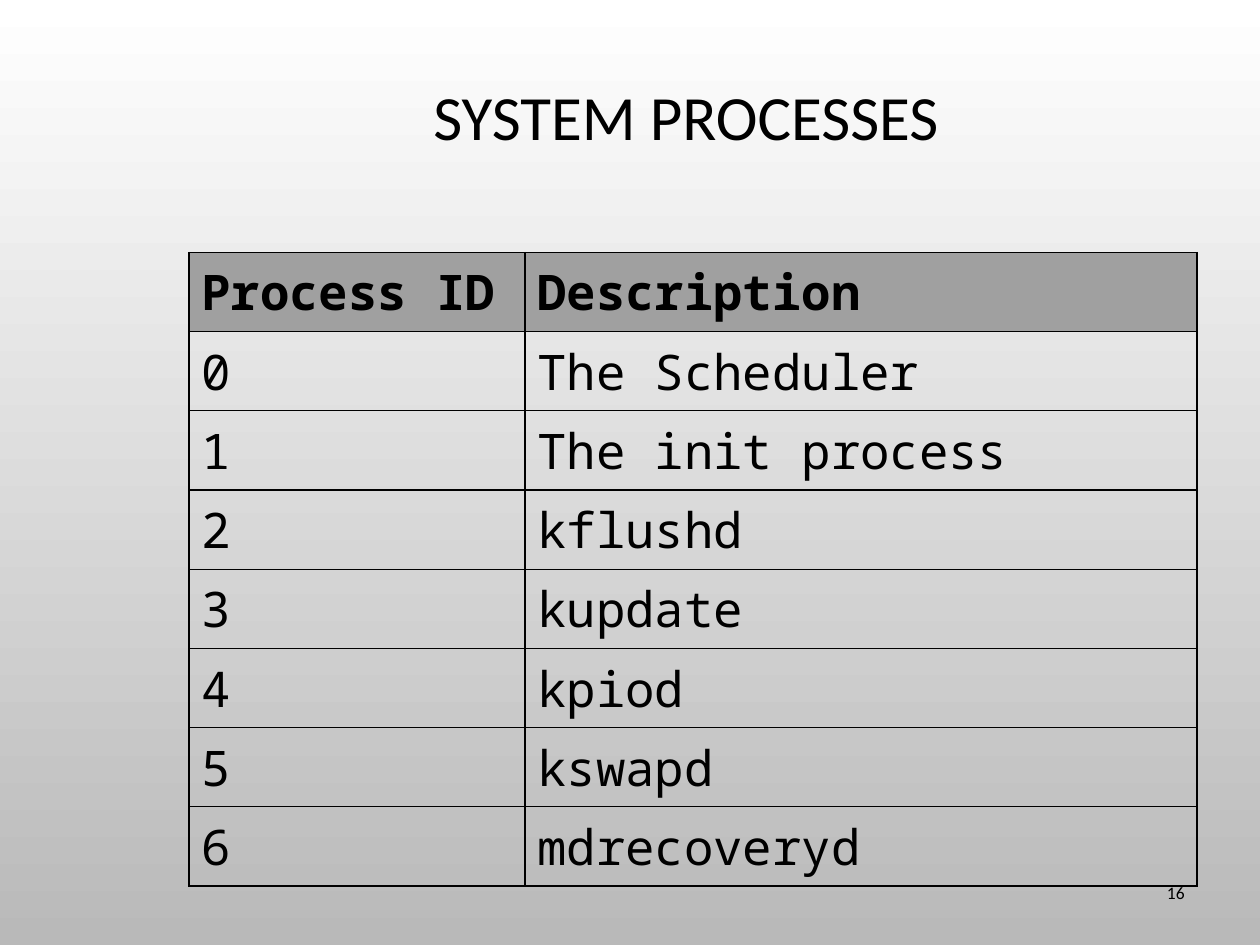
from typing import NamedTuple

from lxml.etree import SubElement
from pptx import Presentation
from pptx.dml.color import RGBColor
from pptx.enum.text import MSO_ANCHOR as Anchor, PP_ALIGN as Align
from pptx.oxml.ns import qn
from pptx.util import Inches, Pt

BLACK = RGBColor(0x00, 0x00, 0x00)
WHITE = RGBColor(0xFF, 0xFF, 0xFF)
BACKDROP_GRAY = RGBColor(0xB9, 0xB9, 0xB9)
HEADER_GRAY = RGBColor(0xA0, 0xA0, 0xA0)
BODY_FONT, MONO_FONT = "Calibri", "Noto Sans Mono"
WIDTH, HEIGHT = Inches(10), Inches(7.5)


class Area(NamedTuple):
    """A box in shares of the slide's width and height."""
    left: float
    top: float
    width: float
    height: float

    def lengths(self) -> tuple[int, ...]:
        sides = (WIDTH, HEIGHT, WIDTH, HEIGHT)
        return tuple(round(share * side) for share, side in zip(self, sides))


class Process(NamedTuple):
    pid: str
    description: str


TITLE_AREA = Area(0.15, 0.044, 0.8, 0.167)
TABLE_AREA = Area(0.15, 0.267, 0.8, 0.6)
NUMBER_AREA = Area(0.717, 0.911, 0.233, 0.067)
COLUMN_SHARES = (1 / 3, 2 / 3)
HEADINGS = Process("Process ID", "Description")
PROCESSES = [Process(str(pid), description) for pid, description in enumerate((
    "The Scheduler", "The init process", "kflushd", "kupdate",
    "kpiod", "kswapd", "mdrecoveryd"))]


def write(frame, text: str, size: int, font: str, bold: bool = False,
          align: Align = Align.LEFT) -> None:
    paragraph = frame.paragraphs[0]
    paragraph.alignment = align
    run = paragraph.add_run()
    run.text = text
    run.font.name, run.font.size, run.font.bold = font, Pt(size), bold
    run.font.color.rgb = BLACK


def outline(cell, color: RGBColor, points: float) -> None:
    properties = cell._tc.get_or_add_tcPr()
    for side in ("a:lnL", "a:lnR", "a:lnT", "a:lnB"):
        line = SubElement(properties, qn(side), w=str(Pt(points)))
        fill = SubElement(line, qn("a:solidFill"))
        SubElement(fill, qn("a:srgbClr"), val=str(color))


def add_process_table(slide, rows: list[Process]) -> None:
    table = slide.shapes.add_table(
        len(rows), len(COLUMN_SHARES), *TABLE_AREA.lengths()).table
    table.first_row = table.horz_banding = False
    for column, share in zip(table.columns, COLUMN_SHARES):
        column.width = round(share * TABLE_AREA.width * WIDTH)
    for r, process in enumerate(rows):
        is_header = r == 0
        for c, text in enumerate(process):
            cell = table.cell(r, c)
            cell.vertical_anchor = Anchor.MIDDLE
            outline(cell, BLACK, 0.75)
            if is_header:
                cell.fill.solid()
                cell.fill.fore_color.rgb = HEADER_GRAY
            else:
                cell.fill.background()
            write(cell.text_frame, text, 28, MONO_FONT, bold=is_header)


def main() -> None:
    deck = Presentation()
    deck.slide_width, deck.slide_height = WIDTH, HEIGHT
    slide = deck.slides.add_slide(deck.slide_layouts[5])

    # Background fading downwards
    backdrop = slide.background.fill
    backdrop.gradient()
    backdrop.gradient_angle = 270
    for stop, color, position in zip(
            backdrop.gradient_stops, (WHITE, BACKDROP_GRAY), (0, 1)):
        stop.color.rgb, stop.position = color, position

    # Title
    title = slide.shapes.title
    title.left, title.top, title.width, title.height = TITLE_AREA.lengths()
    title.text_frame.vertical_anchor = Anchor.MIDDLE
    write(title.text_frame, "SYSTEM PROCESSES ", 36, BODY_FONT, align=Align.CENTER)
    title.text_frame.paragraphs[0].line_spacing = 0.9

    # Process table
    add_process_table(slide, [HEADINGS, *PROCESSES])

    # Page number
    page_number = slide.shapes.add_textbox(*NUMBER_AREA.lengths()).text_frame
    page_number.word_wrap = True
    page_number.vertical_anchor = Anchor.MIDDLE
    write(page_number, "16", 10, BODY_FONT, align=Align.RIGHT)

    deck.save("out.pptx")


if __name__ == "__main__":
    main()
